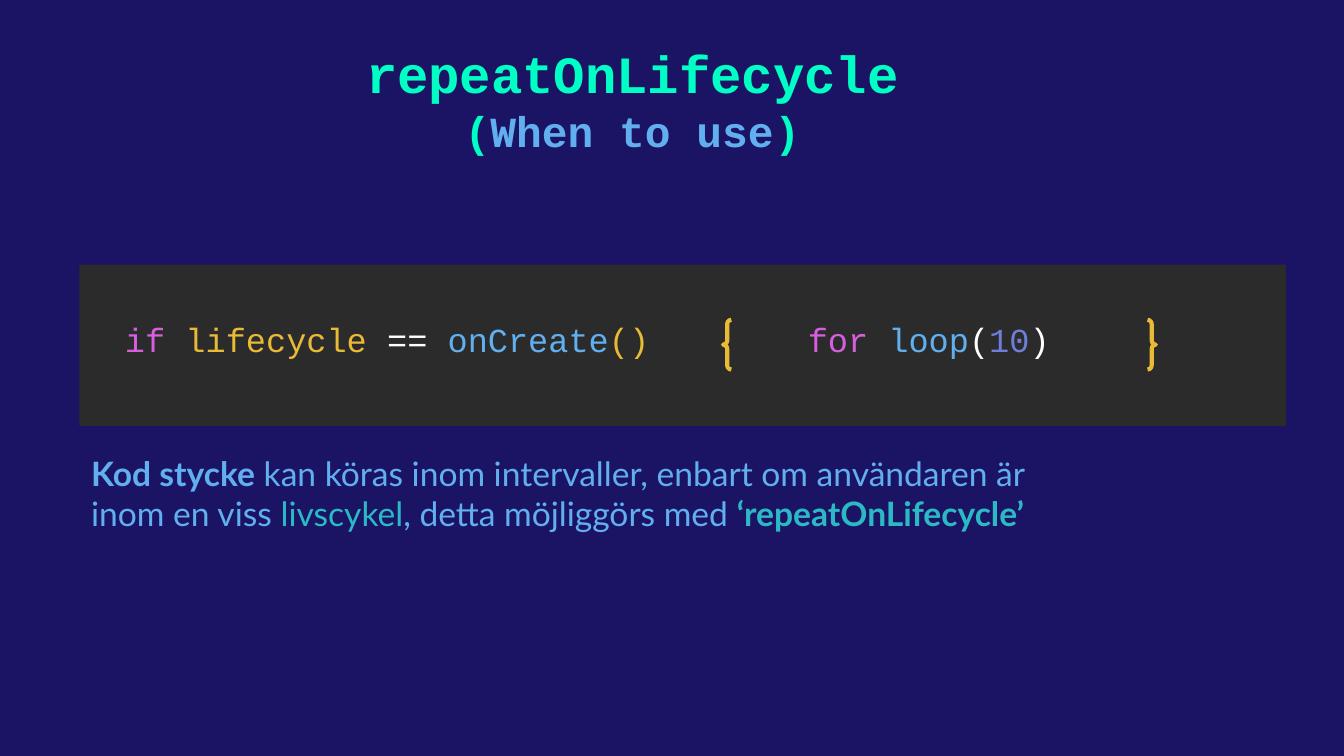
from dataclasses import dataclass

from pptx import Presentation
from pptx.dml.color import RGBColor
from pptx.enum.shapes import MSO_SHAPE
from pptx.enum.text import MSO_ANCHOR, MSO_AUTO_SIZE, PP_ALIGN
from pptx.util import Inches, Pt

RECTANGLE = MSO_SHAPE.RECTANGLE
BRACES = MSO_SHAPE.DOUBLE_BRACE
TOP = MSO_ANCHOR.TOP
NO_AUTOFIT = MSO_AUTO_SIZE.NONE
GROW = MSO_AUTO_SIZE.SHAPE_TO_FIT_TEXT
LEFT, CENTER = PP_ALIGN.LEFT, PP_ALIGN.CENTER
TITLE_ONLY = 5


@dataclass(frozen=True)
class Theme:
    background: str = "1B1464"
    panel: str = "2B2B2B"
    mint: str = "00FFC5"
    blue: str = "61AFEF"
    teal: str = "2BBAC5"
    keyword: str = "D55FDE"
    yellow: str = "E8BA36"
    number: str = "6E7ED9"
    white: str = "FFFFFF"
    code_font: str = "Courier New"
    body_font: str = "Lato"
    title_size: int = 28
    subtitle_size: int = 23
    text_size: int = 18
    inset: float = 0.1


THEME = Theme()


@dataclass(frozen=True)
class Span:
    text: str
    color: str
    bold: bool = False


@dataclass(frozen=True)
class Area:
    left: float
    top: float
    width: float
    height: float

    def lengths(self) -> tuple:
        return tuple(Inches(n) for n in (self.left, self.top, self.width, self.height))


@dataclass(frozen=True)
class CodeLine:
    area: Area
    spans: tuple[Span, ...]


TITLE_AREA = Area(1.86, 0.21, 5.69, 0.73)
PANEL_AREA = Area(0.59, 1.97, 8.98, 1.2)
BRACES_AREA = Area(5.38, 2.38, 3.22, 0.37)
BODY_AREA = Area(0.58, 3.27, 7.58, 0.81)

TITLE = (Span("repeatOnLifecycle", THEME.mint, True),)
SUBTITLE = (
    Span("(", THEME.mint, True),
    Span("When to use", THEME.blue, True),
    Span(")", THEME.mint, True),
)
CODE_LINES = (
    CodeLine(Area(0.64, 2.27, 4.48, 0.67), (
        Span("if ", THEME.keyword),
        Span("lifecycle", THEME.yellow),
        Span(" == ", THEME.white),
        Span("onCreate", THEME.blue),
        Span("()", THEME.yellow),
    )),
    CodeLine(Area(5.29, 2.27, 3.39, 0.47), (
        Span("for ", THEME.keyword),
        Span("loop", THEME.blue),
        Span("(", THEME.white),
        Span("10", THEME.number),
        Span(") ", THEME.white),
    )),
)
BODY = (
    Span("Kod stycke", THEME.blue, True),
    Span(" kan köras inom intervaller, enbart om användaren är inom en viss ", THEME.blue),
    Span("livscykel", THEME.teal),
    Span(", detta möjliggörs med ", THEME.blue),
    Span("‘repeatOnLifecycle’", THEME.teal, True),
)


def write(para, spans: tuple[Span, ...], *, font: str = THEME.code_font,
          size: int = THEME.text_size, align=CENTER) -> None:
    para.alignment = align
    para.line_spacing = 1.0
    para.space_before = para.space_after = Pt(0)
    for span in spans:
        run = para.add_run()
        run.text = span.text
        run.font.name = font
        run.font.size = Pt(size)
        run.font.bold = span.bold
        run.font.color.rgb = RGBColor.from_string(span.color)


def prepare_frame(box, auto_size=NO_AUTOFIT):
    """Set wrapping, fit, anchor and insets, and return the text frame."""
    frame = box.text_frame
    frame.word_wrap = True
    frame.auto_size = auto_size
    frame.vertical_anchor = TOP
    frame.margin_left = frame.margin_right = Inches(THEME.inset)
    frame.margin_top = frame.margin_bottom = Inches(THEME.inset)
    return frame


def add_title(page) -> None:
    box = page.shapes.title
    box.left, box.top, box.width, box.height = TITLE_AREA.lengths()
    frame = prepare_frame(box)
    write(frame.paragraphs[0], TITLE, size=THEME.title_size)
    write(frame.add_paragraph(), SUBTITLE, size=THEME.subtitle_size)


def add_panel(page) -> None:
    panel = page.shapes.add_shape(RECTANGLE, *PANEL_AREA.lengths())
    panel.shadow.inherit = False
    panel.fill.solid()
    panel.fill.fore_color.rgb = RGBColor.from_string(THEME.panel)
    panel.line.fill.background()


def add_braces(page) -> None:
    braces = page.shapes.add_shape(BRACES, *BRACES_AREA.lengths())
    braces.shadow.inherit = False
    braces.fill.background()
    braces.line.color.rgb = RGBColor.from_string(THEME.yellow)
    braces.line.width = Pt(2.25)


def add_code_line(page, line: CodeLine) -> None:
    box = page.shapes.add_textbox(*line.area.lengths())
    write(prepare_frame(box).paragraphs[0], line.spans)


def add_body(page) -> None:
    box = page.shapes.add_textbox(*BODY_AREA.lengths())
    write(prepare_frame(box, GROW).paragraphs[0], BODY,
          font=THEME.body_font, align=LEFT)


def main() -> None:
    deck = Presentation()
    deck.slide_width = Inches(10)
    deck.slide_height = deck.slide_width * 9 // 16
    page = deck.slides.add_slide(deck.slide_layouts[TITLE_ONLY])
    page.background.fill.solid()
    page.background.fill.fore_color.rgb = RGBColor.from_string(THEME.background)

    add_title(page)
    add_panel(page)
    add_braces(page)
    for line in CODE_LINES:
        add_code_line(page, line)
    add_body(page)
    deck.save("out.pptx")


if __name__ == "__main__":
    main()
